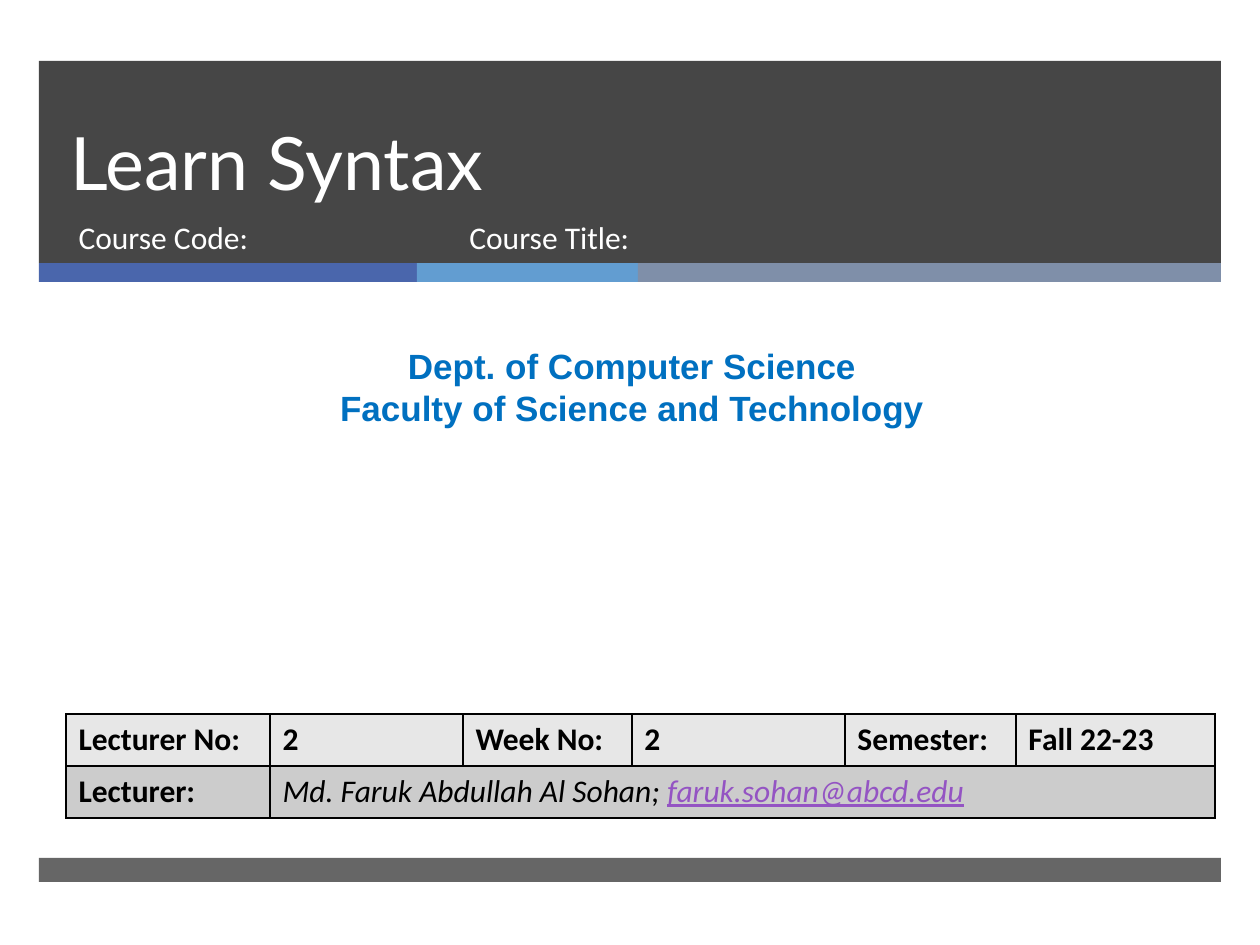
"""Build the opening slide of a lecture deck."""
import dataclasses

import lxml.etree
import pptx
import pptx.dml.color
import pptx.enum.shapes
import pptx.enum.text
import pptx.oxml
import pptx.oxml.ns
import pptx.util

EMU_PER_PIXEL = 914400 // 126
ALIGN = pptx.enum.text.PP_ALIGN
ANCHOR = pptx.enum.text.MSO_ANCHOR


@dataclasses.dataclass(frozen=True)
class Theme:
    """Colours, fonts and type sizes of the slide."""
    dark: str = "262626"
    accents: tuple = ("4A66AC", "629DD1", "7F8FA9")
    white: str = "FFFFFF"
    black: str = "000000"
    department: str = "0070C0"
    link: str = "9454C3"
    rows: tuple = ("E7E7E7", "CCCCCC")
    title_font: str = "Lato"
    body_font: str = "Calibri"
    department_font: str = "Arial"
    title_size: int = 42
    department_size: int = 20
    body_size: int = 18


THEME = Theme()


def px(value):
    """Turn picture pixels into EMU."""
    return pptx.util.Emu(value * EMU_PER_PIXEL)


def rgb(value):
    """Return a colour object for a hex string."""
    return pptx.dml.color.RGBColor.from_string(value)


def style(span, color, size=THEME.body_size, font=THEME.body_font, bold=False, italic=False):
    """Format one run of text."""
    span.font.name = font
    span.font.size = pptx.util.Pt(size)
    span.font.color.rgb = rgb(color)
    span.font.bold = bold
    span.font.italic = italic


def add_bar(page, left, top, width, height, color, opacity=100):
    """Add a plain bar, see-through when opacity is below 100."""
    bar = page.shapes.add_shape(pptx.enum.shapes.MSO_SHAPE.RECTANGLE,
                                px(left), px(top), px(width), px(height))
    bar.shadow.inherit = False
    bar.line.fill.background()
    bar.fill.solid()
    bar.fill.fore_color.rgb = rgb(color)
    if opacity < 100:
        tint = bar._element.spPr.find(".//" + pptx.oxml.ns.qn("a:srgbClr"))
        alpha = lxml.etree.SubElement(tint, pptx.oxml.ns.qn("a:alpha"))
        alpha.set("val", str(opacity * 1000))


def fill_box(box, bounds, text, align=ALIGN.LEFT, anchor=ANCHOR.TOP, spacing=None, **look):
    """Place a text holder and set its formatted text."""
    box.left, box.top, box.width, box.height = map(px, bounds)
    frame = box.text_frame
    frame.text = text
    frame.word_wrap = True
    frame.auto_size = pptx.enum.text.MSO_AUTO_SIZE.NONE
    frame.vertical_anchor = anchor
    for para in frame.paragraphs:
        para.alignment = align
        para.space_before = pptx.util.Pt(0)
        para.line_spacing = spacing
        for span in para.runs:
            style(span, **look)


def add_text(page, bounds, text, **look):
    """Add a text box."""
    fill_box(page.shapes.add_textbox(0, 0, 0, 0), bounds, text, **look)


def format_cell(cell, fill):
    """Give a cell its fill and thin black borders."""
    cell.fill.solid()
    cell.fill.fore_color.rgb = rgb(fill)
    properties = cell._tc.get_or_add_tcPr()
    for position, side in enumerate(("lnL", "lnR", "lnT", "lnB")):
        properties.insert(position, pptx.oxml.parse_xml(
            f'<a:{side} {pptx.oxml.ns.nsdecls("a")} w="12700"><a:solidFill>'
            f'<a:srgbClr val="{THEME.black}"/></a:solidFill></a:{side}>'))


def add_lecture_table(page):
    """Add the table of lecture details."""
    widths = (204, 193, 169, 213, 171, 199)
    labels = ("Lecturer No:", "2", "Week No:", "2", "Semester:", "Fall 22-23")
    height = 52
    table = page.shapes.add_table(2, len(widths), px(66), px(714),
                                  px(sum(widths)), px(2 * height)).table
    for column, width in zip(table.columns, widths):
        column.width = px(width)
    for row, fill in zip(table.rows, THEME.rows):
        row.height = px(height)
        for cell in row.cells:
            format_cell(cell, fill)
    table.cell(1, 1).merge(table.cell(1, len(widths) - 1))
    cells = [table.cell(0, index) for index in range(len(widths))] + [table.cell(1, 0)]
    for cell, label in zip(cells, labels + ("Lecturer:",)):
        cell.text_frame.text = label
        style(cell.text_frame.paragraphs[0].runs[0], THEME.black, bold=True)
    para = table.cell(1, 1).text_frame.paragraphs[0]
    for text, color in (("Md. Faruk Abdullah Al Sohan; ", THEME.black),
                        ("faruk.sohan@abcd.edu", THEME.link)):
        span = para.add_run()
        span.text = text
        style(span, color, italic=True)
        span.font.underline = color == THEME.link


def add_bands(page):
    """Add the header, the accent strip and the footer."""
    left, width = 39, 1182
    add_bar(page, left, 61, width, 202, THEME.dark, 85)
    edges = (left, 417, 638, left + width)
    for start, end, color in zip(edges, edges[1:], THEME.accents):
        add_bar(page, start, 263, end - start, 19, color)
    add_bar(page, left, 858, width, 24, THEME.dark, 70)


def main():
    """Build and save the deck."""
    deck = pptx.Presentation()
    deck.slide_width, deck.slide_height = px(1260), px(945)
    page = deck.slides.add_slide(deck.slide_layouts[0])
    title, subtitle = page.placeholders
    add_bands(page)
    for box in (title, subtitle):
        page.shapes._spTree.append(box._element)
    fill_box(title, (58, 62, 1076, 150), "Learn Syntax", anchor=ANCHOR.BOTTOM,
             spacing=pptx.util.Pt(46), color=THEME.white,
             size=THEME.title_size, font=THEME.title_font)
    fill_box(subtitle, (66, 212, 384, 67), "Course Code:", color=THEME.white)
    add_text(page, (10, 338, 1244, 97),
             "Dept. of Computer Science\nFaculty of Science and Technology",
             align=ALIGN.CENTER, color=THEME.department, bold=True,
             size=THEME.department_size, font=THEME.department_font)
    add_lecture_table(page)
    add_text(page, (457, 212, 573, 67), "Course Title:", color=THEME.white)
    deck.save("out.pptx")


main()
